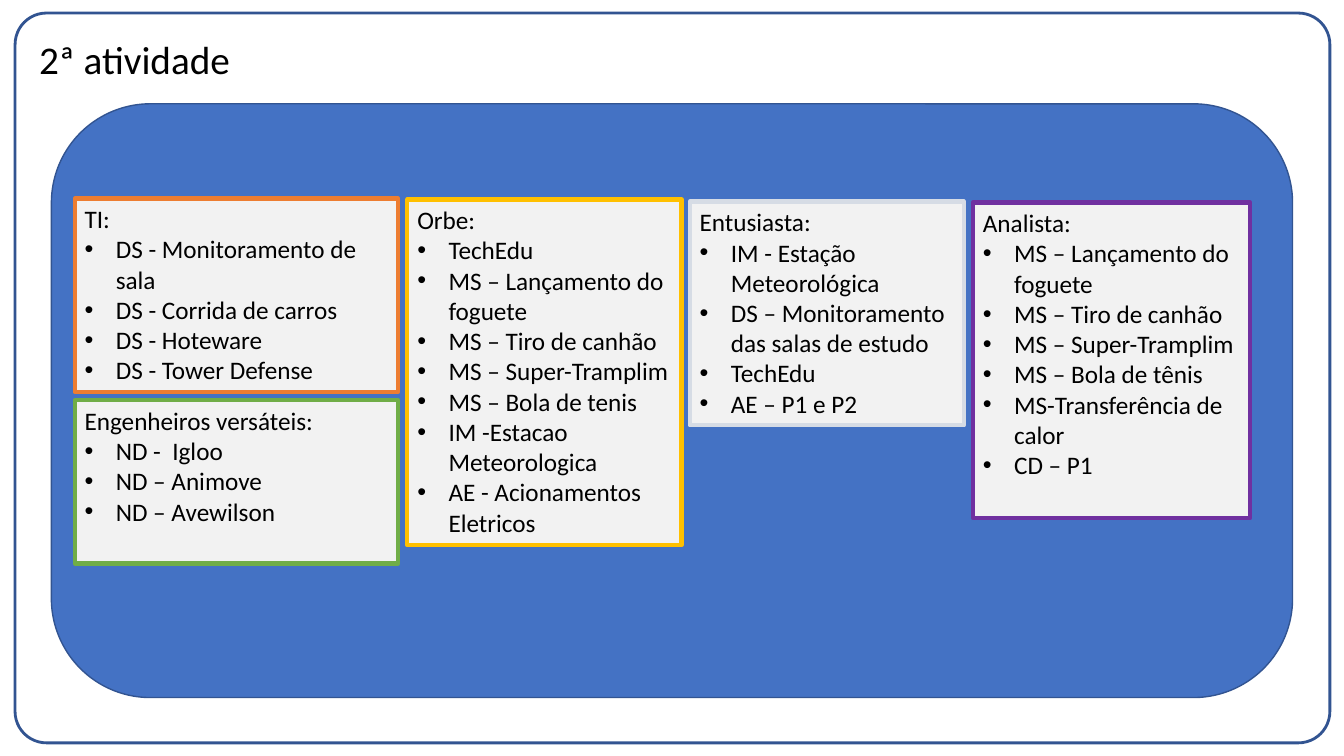
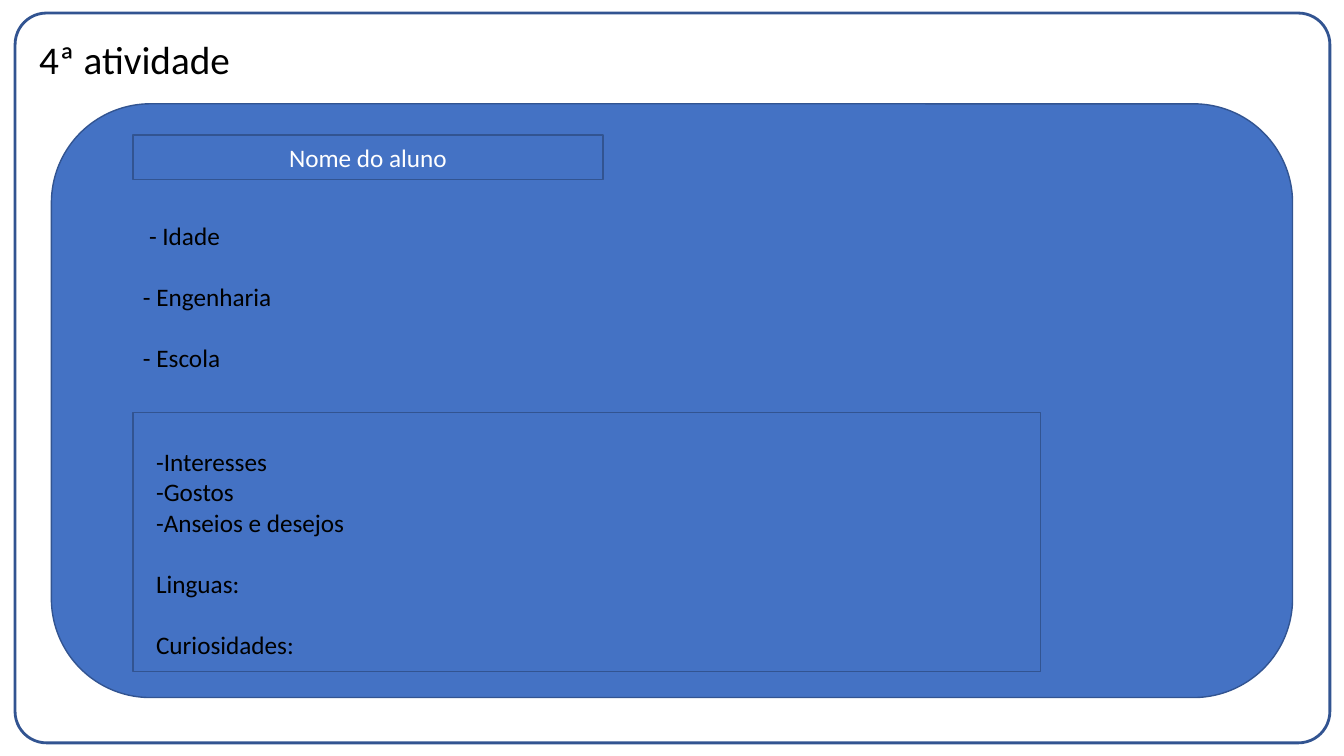
from dataclasses import dataclass
from pptx import Presentation
from pptx.dml.color import RGBColor as Rgb
from pptx.enum.shapes import MSO_SHAPE as Kind
from pptx.enum.text import MSO_ANCHOR as Anchor, PP_ALIGN as Align
from pptx.oxml import parse_xml
from pptx.oxml.ns import nsdecls
from pptx.util import Inches, Pt


@dataclass(frozen=True)
class Theme:
    font: str = "Calibri"
    head: int = 28
    body: int = 18
    gap: int = 22
    ink: str = "000000"
    white: str = "FFFFFF"
    blue: str = "4472C4"
    edge: str = "325491"
    card: str = "F2F2F2"
    orange: str = "ED7D31"
    gold: str = "FFC000"
    mist: str = "D6DCE5"
    purple: str = "7030A0"
    green: str = "70AD47"


T = Theme()


def add_box(slide, at, fill=T.blue, line=T.edge, width=1, kind=Kind.RECTANGLE):
    box = slide.shapes.add_shape(kind, *map(Inches, at))
    box.shadow.inherit = False
    if fill:
        box.fill.solid()
        box.fill.fore_color.rgb = Rgb.from_string(fill)
    else:
        box.fill.background()
    box.line.color.rgb = Rgb.from_string(line)
    box.line.width = Pt(width)
    return box


def add_note(slide, at):
    return slide.shapes.add_textbox(*map(Inches, at))


def write(shape, lines, size=T.body, ink=T.ink, align=Align.LEFT, anchor=Anchor.TOP):
    frame = shape.text_frame
    frame.word_wrap = True
    frame.vertical_anchor = anchor
    for i, line in enumerate(lines):
        para = frame.paragraphs[0] if i == 0 else frame.add_paragraph()
        para.alignment = align
        run = para.add_run()
        run.text = line
        run.font.name = T.font
        run.font.size = Pt(size)
        run.font.color.rgb = Rgb.from_string(ink)
    return frame.paragraphs


def indent(para, left, first):
    props = para._p.get_or_add_pPr()
    props.set("marL", str(Inches(left)))
    props.set("indent", str(Inches(first)))
    return props


def add_dot(para):
    props = indent(para, 0.31, -0.31)
    props.append(parse_xml(f'<a:buFont {nsdecls("a")} typeface="Arial"/>'))
    props.append(parse_xml(f'<a:buChar {nsdecls("a")} char="•"/>'))


def space(paras):
    for para in paras:
        para.space_before = Pt(T.gap)


def add_card(slide, at, line, head, items):
    card = add_box(slide, at, T.card, line, 3)
    for para in write(card, [head, *items])[1:]:
        add_dot(para)


def add_page(deck, title):
    slide = deck.slides.add_slide(deck.slide_layouts[6])
    frame = add_box(slide, (0.15, 0.13, 13.04, 7.24), None, width=2,
                    kind=Kind.ROUNDED_RECTANGLE)
    frame.adjustments[0] = 0.043
    head = add_note(slide, (0.29, -0.11, 11.5, 1.45))
    write(head, [title], T.head, anchor=Anchor.MIDDLE)[0].line_spacing = 0.9
    add_box(slide, (0.51, 1.03, 12.31, 5.89), kind=Kind.ROUNDED_RECTANGLE)
    return slide


def add_groups(deck):
    slide = add_page(deck, "2ª atividade")
    shots = ["MS – Lançamento do foguete", "MS – Tiro de canhão",
             "MS – Super-Tramplim"]
    cards = [
        ((0.74, 1.97, 3.21, 1.92), T.orange, "TI:",
         ["DS - Monitoramento de sala", "DS - Corrida de carros",
          "DS - Hoteware", "DS - Tower Defense"]),
        ((4.04, 1.98, 2.72, 3.43), T.gold, "Orbe:",
         ["TechEdu", *shots, "MS – Bola de tenis",
          "IM -Estacao Meteorologica", "AE - Acionamentos Eletricos"]),
        ((6.84, 2, 2.72, 2.22), T.mist, "Entusiasta:",
         ["IM - Estação Meteorológica",
          "DS – Monitoramento das salas de estudo", "TechEdu", "AE – P1 e P2"]),
        ((9.65, 2.01, 2.75, 3.13), T.purple, "Analista:",
         [*shots, "MS – Bola de tênis", "MS-Transferência de calor",
          "CD – P1"]),
        ((0.74, 3.97, 3.21, 1.62), T.green, "Engenheiros versáteis:",
         ["ND -  Igloo", "ND – Animove", "ND – Avewilson"]),
    ]
    for card in cards:
        add_card(slide, *card)


def add_pupil(deck):
    slide = add_page(deck, "4ª atividade")
    name = add_box(slide, (1.32, 1.34, 4.66, 0.44))
    write(name, ["Nome do aluno"], ink=T.white, align=Align.CENTER,
          anchor=Anchor.MIDDLE)
    facts = write(add_note(slide, (1.32, 2.14, 3.1, 1.62)),
                  ["- Idade", "- Engenharia", "- Escola"])
    indent(facts[0], 0, 0.06)
    space(facts[1:])
    add_box(slide, (1.32, 4.09, 9, 2.57))
    tastes = write(add_note(slide, (1.45, 4.38, 8.74, 2.22)),
                   ["-Interesses", "-Gostos", "-Anseios e desejos",
                    "Linguas:", "Curiosidades:"])
    space(tastes[3:])


def main():
    deck = Presentation()
    deck.slide_width = Inches(13.33)
    deck.slide_height = Inches(7.5)
    add_groups(deck)
    add_pupil(deck)
    deck.save("out.pptx")


main()
